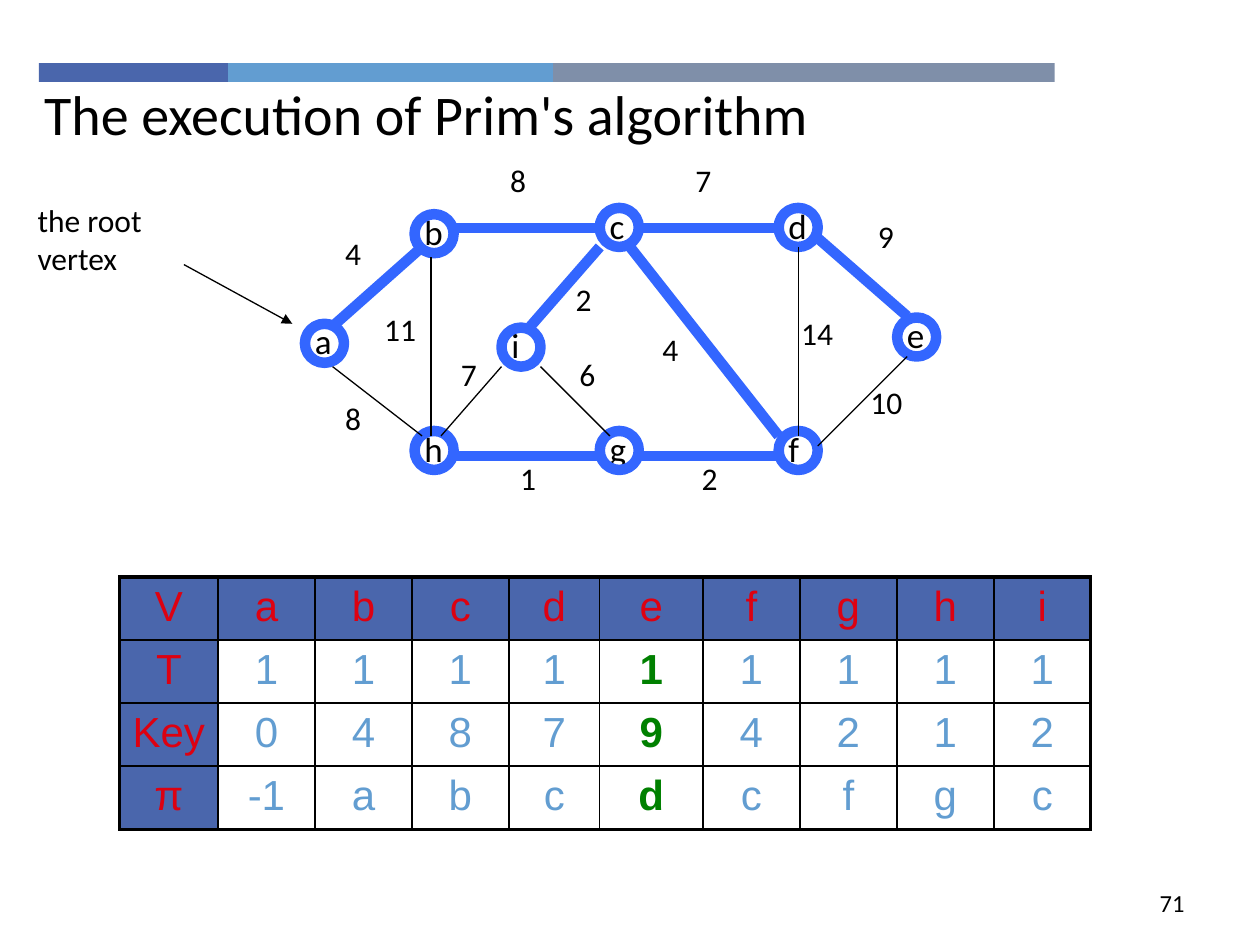
from lxml.etree import SubElement
from pptx import Presentation
from pptx.dml.color import RGBColor as RGB
from pptx.enum.shapes import MSO_CONNECTOR as LINE, MSO_SHAPE as SHAPE
from pptx.enum.text import MSO_ANCHOR as ANCHOR, MSO_AUTO_SIZE as AUTO, PP_ALIGN as ALIGN
from pptx.oxml.ns import qn
from pptx.util import Inches, Pt

COLORS = {"black": "000000", "white": "FFFFFF", "navy": "4A66AC", "sky": "629DD1",
          "slate": "7F8FA9", "tree": "3366FF", "red": "DD0111", "green": "008000"}
WIDE, HIGH = Inches(10), Inches(7.5)
COLS = 100
UNIT = WIDE / COLS
RING = 3.1

BARS = [("navy", 15), ("sky", 25.8), ("slate", 39.8)]

NODES = {"a": (24.2, 25.7), "b": (32.9, 17), "h": (32.9, 34.2), "c": (47.6, 16.5),
         "d": (61.8, 16.5), "e": (71.2, 25.2), "f": (61.8, 34.2), "g": (47.6, 34.2),
         "i": (39.8, 26)}

# start, end, in tree, weight, label corner
EDGES = [
    ((26.4, 25.9), (33.5, 19.6), True, "4", (26.4, 18.1)),
    ((26.4, 29.1), (33.5, 34.6), False, "8", (26.4, 31.2)),
    ((34.2, 20.4), (34.2, 34.6), False, "11", (29.5, 24.1)),
    ((35.8, 18.1), (47.6, 18.1), True, "8", (39.5, 12.3)),
    ((35.8, 36.2), (47.6, 36.2), True, "1", (40.3, 35.9)),
    ((50.8, 36.2), (61.8, 36.2), True, "2", (54.7, 35.9)),
    ((50, 19.6), (61.8, 34.6), True, "4", (51.6, 25.7)),
    ((50.8, 18.1), (61.8, 18.1), True, "7", (54.2, 12.3)),
    ((63.4, 19.6), (63.4, 34.6), False, "14", (62.6, 24.4)),
    ((64.9, 18.9), (72, 25.1), True, "9", (68.7, 16.7)),
    ((64.9, 35.4), (72, 28.3), False, "10", (68.1, 29.9)),
    ((42.9, 29.1), (48.4, 34.6), False, "6", (45, 27.7)),
    ((35, 34.6), (39.8, 29.1), False, "7", (35.6, 27.7)),
    ((42.1, 25.9), (47.6, 19.6), True, "2", (44.7, 21.7)),
]

ROWS = [["V", *"abcdefghi"],
        ["T", *"111111111"],
        ["Key", *"048794212"],
        ["π", "-1", *"abcdcfgc"]]
WIDTHS = [7.8, 7.7, 7.7, 7.7, 7.2, 8.2, 7.7, 7.7, 7.7, 7.7]
PICK = 5


def grid(*cells):
    """Turn grid cells into slide lengths."""
    return [int(n * UNIT) for n in cells]


def tint(name):
    """Look up a colour by name."""
    return RGB.from_string(COLORS[name])


def style(para, size, color="black", font="Calibri", bold=False):
    """Format the runs of a paragraph."""
    for run in para.runs:
        face = run.font
        face.name, face.size, face.bold = font, Pt(size), bold
        face.color.rgb = tint(color)


def title(slide, text):
    """Fill and place the title."""
    head = slide.shapes.title
    head.left, head.top, head.width, head.height = grid(2.5, 5.8, 85.8, 6.4)
    frame = head.text_frame
    frame.text = text
    frame.auto_size, frame.vertical_anchor = AUTO.NONE, ANCHOR.TOP
    frame.paragraphs[0].alignment = ALIGN.LEFT
    style(frame.paragraphs[0], 32)


def label(slide, text, box, size=18, wrap=True, align=ALIGN.LEFT):
    """Add a text box."""
    frame = slide.shapes.add_textbox(*grid(*box)).text_frame
    frame.text, frame.word_wrap = text, wrap
    frame.paragraphs[0].alignment = align
    style(frame.paragraphs[0], size)


def bars(slide):
    """Add the colour strip at the top."""
    left = 3.1
    for color, width in BARS:
        bar = slide.shapes.add_shape(SHAPE.RECTANGLE, *grid(left, 5, width, 1.5))
        bar.shadow.inherit = False
        bar.fill.solid()
        bar.fill.fore_color.rgb = tint(color)
        bar.line.fill.background()
        left += width


def node(slide, name, x, y):
    """Add a vertex letter and its ring."""
    label(slide, name, (x - 0.2, y - 0.8, 3.6, 4.3), 20)
    ring = slide.shapes.add_shape(SHAPE.OVAL, *grid(x, y, RING, RING))
    ring.shadow.inherit = False
    ring.fill.background()
    ring.line.color.rgb, ring.line.width = tint("tree"), Pt(6)


def edge(slide, start, end, tree=False, arrow=False):
    """Add a straight line, with an arrowhead on demand."""
    link = slide.shapes.add_connector(LINE.STRAIGHT, *grid(*start, *end))
    link.line.color.rgb = tint("tree" if tree else "black")
    link.line.width = Pt(6 if tree else 0.75)
    props = link.line._get_or_add_ln()
    if arrow:
        SubElement(props, qn("a:tailEnd"), type="triangle")
    SubElement(props.getparent(), qn("a:effectLst"))


def border(cell, sides):
    """Draw cell borders from a dict of side and points."""
    props = cell._tc.get_or_add_tcPr()
    for spot, (side, width) in enumerate(sides.items()):
        line = SubElement(props, qn(f"a:ln{side}"), w=str(Pt(width)))
        fill = SubElement(line, qn("a:solidFill"))
        SubElement(fill, qn("a:srgbClr"), val=COLORS["black"])
        props.insert(spot, line)


def table(slide):
    """Add the table of keys and parents."""
    high, wide = len(ROWS), len(WIDTHS)
    box = grid(9.5, 45.8, sum(WIDTHS), 5 * high)
    tab = slide.shapes.add_table(high, wide, *box).table
    for col, width in zip(tab.columns, grid(*WIDTHS)):
        col.width = width
    for r, row in enumerate(ROWS):
        for c, text in enumerate(row):
            cell, head = tab.cell(r, c), r == 0 or c == 0
            pick = c == PICK and not head
            cell.text = text
            cell.margin_left = cell.margin_right = Inches(0.05)
            cell.fill.solid()
            cell.fill.fore_color.rgb = tint("navy" if head else "white")
            para = cell.text_frame.paragraphs[0]
            para.alignment = ALIGN.CENTER
            color = "red" if head else "green" if pick else "sky"
            style(para, 24, color, "Arial", pick)
            outer = {"L": c == 0, "R": c == wide - 1, "T": r == 0, "B": r == high - 1}
            border(cell, {side: 2.25 if out else 1 for side, out in outer.items()})


def main():
    """Build and save the slide."""
    deck = Presentation()
    deck.slide_width, deck.slide_height = WIDE, HIGH
    slide = deck.slides.add_slide(deck.slide_layouts[5])
    bars(slide)
    title(slide, "The execution of Prim's algorithm")
    label(slide, "71", (71.7, 70, 23.3, 3.5), 14, align=ALIGN.RIGHT)
    label(slide, "the root vertex", (2, 15.5, 13.4, 9))
    edge(slide, (14.6, 21), (23.2, 25.7), arrow=True)
    table(slide)
    for name, spot in NODES.items():
        node(slide, name, *spot)
    for start, end, tree, *_ in EDGES:
        edge(slide, start, end, tree)
    for *_, text, spot in EDGES:
        label(slide, text, (*spot, 2 + 1.4 * len(text), 4), wrap=False)
    deck.save("out.pptx")


if __name__ == "__main__":
    main()
